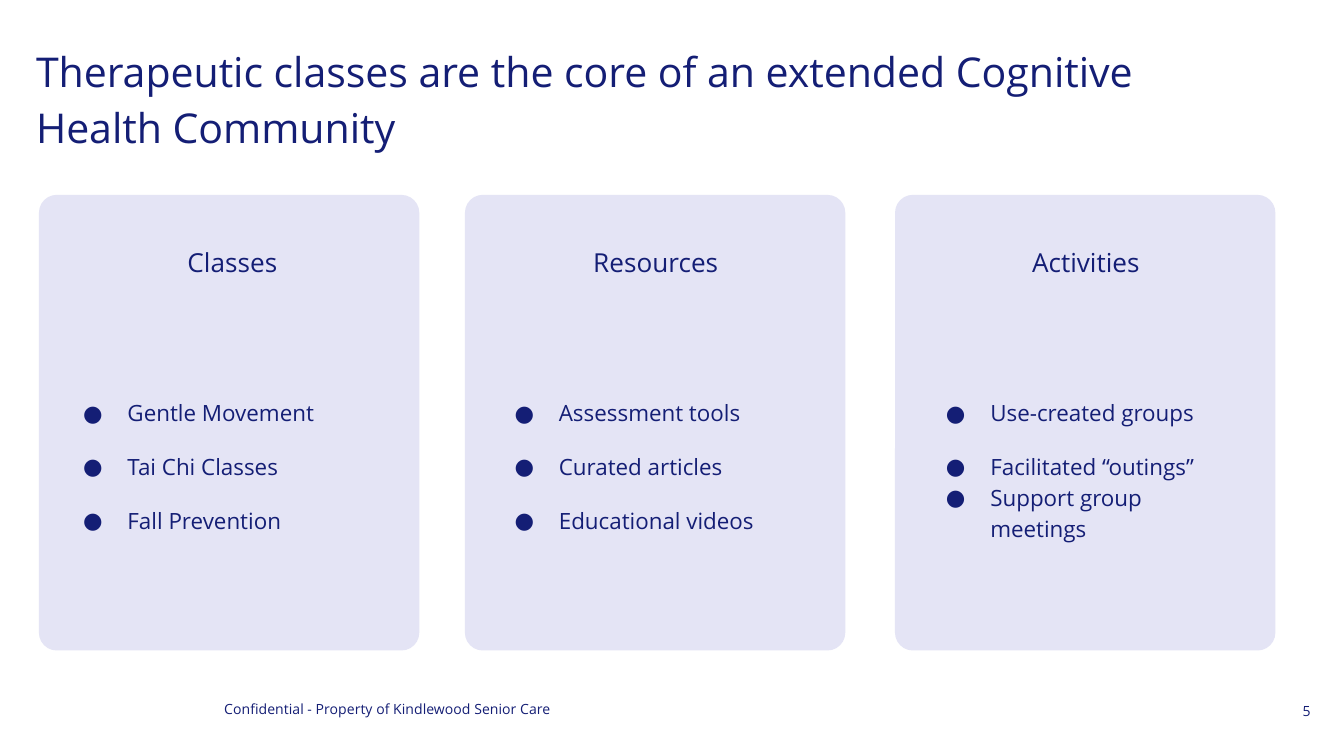
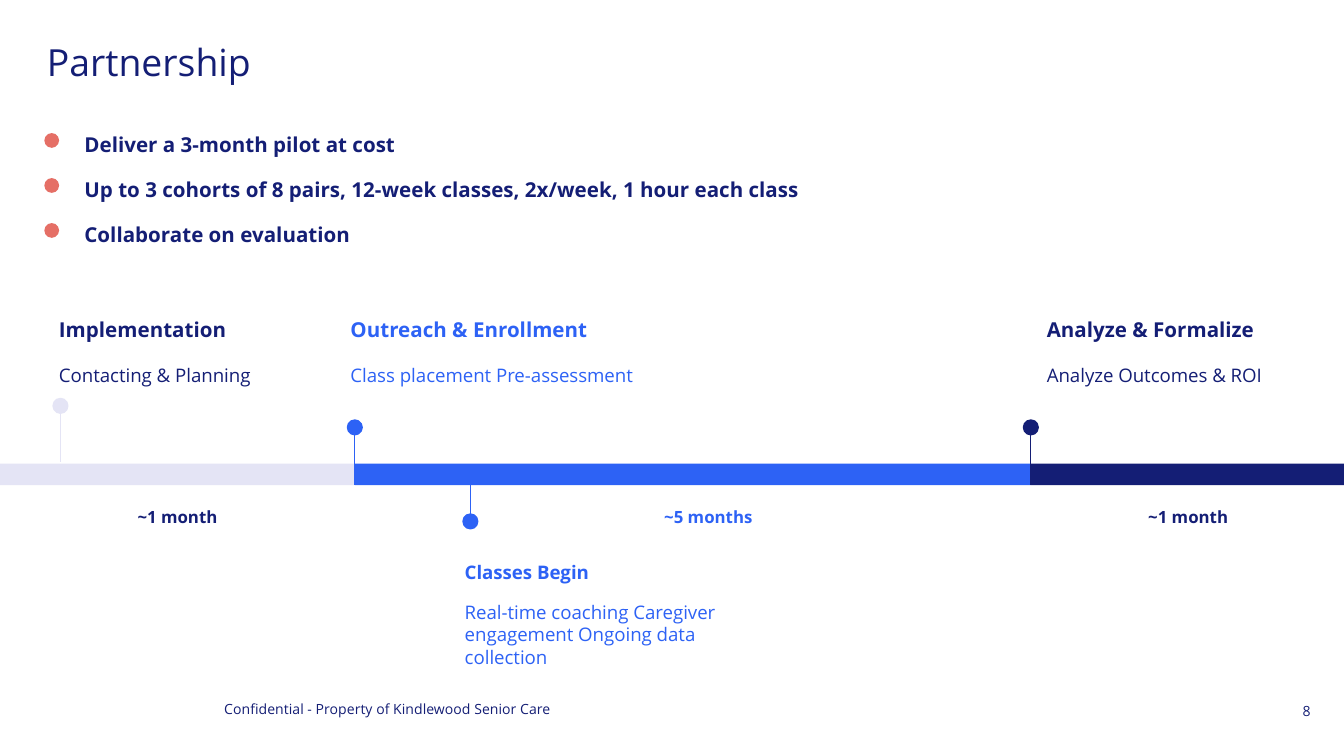
from lxml import etree
from pptx import Presentation
from pptx.dml.color import RGBColor
from pptx.enum.shapes import MSO_CONNECTOR, MSO_SHAPE
from pptx.enum.text import MSO_AUTO_SIZE, PP_ALIGN
from pptx.oxml.ns import qn
from pptx.util import Inches, Pt

LEFT, CENTER, RIGHT = PP_ALIGN.LEFT, PP_ALIGN.CENTER, PP_ALIGN.RIGHT
ROUNDED, RECTANGLE, OVAL = MSO_SHAPE.ROUNDED_RECTANGLE, MSO_SHAPE.RECTANGLE, MSO_SHAPE.OVAL

# Shared style
FONT = "Open Sans"
NAVY, BLUE, LAVENDER, CORAL = "141E75", "2D62F5", "E4E4F5", "E56F66"
FOOTER = "Confidential - Property of Kindlewood Senior Care"
DOT = 0.11

# Slide 1 content: card left, heading left, list left, heading, (item, line spacing)
CARDS_TITLE = "Therapeutic classes are the core of an extended Cognitive Health Community"
CARDS = [
    (0.29, 0.4, 0.35, "Classes",
     [("Gentle Movement", 2), ("Tai Chi Classes", 2), ("Fall Prevention", 2)]),
    (3.46, 3.55, 3.56, "Resources",
     [("Assessment tools", 2), ("Curated articles", 2), ("Educational videos", 2)]),
    (6.66, 6.75, 6.77, "Activities",
     [("Use-created groups", 2), ("Facilitated “outings”", 2),
      ("Support group meetings", 1.15)]),
]

# Slide 2 content: term, width of its box
TERMS = [
    ("Deliver a 3-month pilot at cost", 3.54),
    ("Up to 3 cohorts of 8 pairs, 12-week classes, 2x/week, 1 hour each class", 6.74),
    ("Collaborate on evaluation", 6.4),
]
# Start, end, bar colour, text colour, duration, left of duration
PHASES = [
    (0, 2.64, LAVENDER, NAVY, "~1 month", 0.53),
    (2.64, 7.67, BLUE, BLUE, "~5 months", 4.48),
    (7.67, 10, NAVY, NAVY, "~1 month", 8.05),
]
# Left, top, width, heading, detail, colour, heading size, gap before detail
MILESTONES = [
    (0.34, 2.26, 1.98, "Implementation", "Contacting & Planning", NAVY, 11, 12),
    (2.51, 2.26, 2.64, "Outreach & Enrollment", "Class placement Pre-assessment",
     BLUE, 11, 12),
    (7.69, 2.26, 1.98, "Analyze & Formalize", "Analyze Outcomes & ROI", NAVY, 11, 12),
    (3.36, 4.07, 2.33, "Classes Begin",
     "Real-time coaching Caregiver engagement Ongoing data collection", BLUE, 10, 9.6),
]
# Centre of the dot, end of the stem, colour
PINS = [
    (0.45, 3.02, 3.44, LAVENDER),
    (2.64, 3.18, 3.61, BLUE),
    (7.67, 3.18, 3.61, NAVY),
    (3.5, 3.88, 3.45, BLUE),
]


def rgb(color):
    return RGBColor.from_string(color)


def add_block(slide, kind, left, top, width, height, color, outlined=False):
    shape = slide.shapes.add_shape(
        kind, Inches(left), Inches(top), Inches(width), Inches(height))
    shape.shadow.inherit = False
    shape.fill.solid()
    shape.fill.fore_color.rgb = rgb(color)
    if outlined:
        shape.line.color.rgb = rgb(color)
        shape.line.width = Pt(0.75)
    else:
        shape.line.fill.background()
    return shape


def add_text(slide, left, top, width, height, lines, size, color=NAVY,
             align=LEFT, spacing=None, bold=False, grow=False):
    box = slide.shapes.add_textbox(
        Inches(left), Inches(top), Inches(width), Inches(height))
    frame = box.text_frame
    frame.word_wrap = True
    frame.auto_size = MSO_AUTO_SIZE.SHAPE_TO_FIT_TEXT if grow else MSO_AUTO_SIZE.NONE
    frame.margin_left = frame.margin_right = Inches(0.1)
    frame.margin_top = frame.margin_bottom = Inches(0.1)
    frame.text = "\n".join(lines)
    for paragraph in frame.paragraphs:
        paragraph.alignment = align
        if spacing:
            paragraph.line_spacing = spacing
        font = paragraph.font
        font.name, font.size, font.bold = FONT, Pt(size), bold
        font.color.rgb = rgb(color)
    return frame.paragraphs


def add_bullet(paragraph, color):
    properties = paragraph._p.get_or_add_pPr()
    properties.set("marL", str(Inches(0.5)))
    properties.set("indent", str(Inches(-0.33)))
    bullet_color = etree.Element(qn("a:buClr"))
    etree.SubElement(bullet_color, qn("a:srgbClr"), val=color)
    bullet_font = etree.Element(qn("a:buFont"), typeface=FONT)
    bullet = etree.Element(qn("a:buChar"), char="●")
    default_font = properties.find(qn("a:defRPr"))
    for element in (bullet_color, bullet_font, bullet):
        default_font.addprevious(element)


def add_pin(slide, x, y, stem_end, color):
    add_block(slide, OVAL, x - DOT / 2, y - DOT / 2, DOT, DOT, color, outlined=True)
    stem = slide.shapes.add_connector(
        MSO_CONNECTOR.STRAIGHT, Inches(x), Inches(y), Inches(x), Inches(stem_end))
    stem.line.color.rgb = rgb(color)
    stem.line.width = Pt(0.75)
    etree.SubElement(stem._element.spPr, qn("a:effectLst"))


def add_slide(number):
    slide = presentation.slides.add_slide(presentation.slide_layouts[6])
    add_text(slide, 1.57, 5.12, 3.28, 0.33, [FOOTER], 7.5, spacing=1.15, grow=True)
    add_text(slide, 9.25, 5.13, 0.6, 0.43, [str(number)], 7.5, align=RIGHT)
    return slide


# Widescreen page, 16:9
presentation = Presentation()
presentation.slide_width = Inches(10)
presentation.slide_height = Inches(10 * 9 / 16)

# Slide 1: three cards
slide = add_slide(5)
add_text(slide, 0.17, 0.19, 8.5, 1, [CARDS_TITLE], 22, spacing=1.15, grow=True)
for card_left, heading_left, list_left, heading, items in CARDS:
    card = add_block(slide, ROUNDED, card_left, 1.45, 2.83, 3.39, LAVENDER)
    card.adjustments[0] = 0.047
    names = [name for name, _ in items]
    paragraphs = add_text(slide, list_left, 2.67, 2.42, 1.21, names, 12, grow=True)
    for paragraph, (_, spacing) in zip(paragraphs, items):
        paragraph.line_spacing = spacing
        add_bullet(paragraph, NAVY)
    add_text(slide, heading_left, 1.73, 2.66, 0.44, [heading], 14,
             align=CENTER, grow=True)

# Slide 2: terms and timeline
slide = add_slide(8)
add_text(slide, 0.25, 0.19, 9.17, 0.54, ["Partnership"], 20, grow=True)
for index, (term, width) in enumerate(TERMS):
    top = 0.88 + index * 0.335
    add_text(slide, 0.53, top, width, 0.33, [term], 11, bold=True)
    add_block(slide, OVAL, 0.33, top + 0.11, DOT, DOT, CORAL)

for start, end, bar_color, text_color, duration, left in PHASES:
    add_block(slide, RECTANGLE, start, 3.45, end - start, 0.16, bar_color)
    add_text(slide, left, 3.67, 1.58, 1.11, [duration], 9, text_color,
             align=CENTER, bold=True)

for left, top, width, heading, detail, color, size, gap in MILESTONES:
    title, body = add_text(slide, left, top, width, 1.11, [heading, detail], 10, color)
    title.font.size = Pt(size)
    title.font.bold = True
    body.space_before = Pt(gap)

for pin in PINS:
    add_pin(slide, *pin)

presentation.save("out.pptx")
